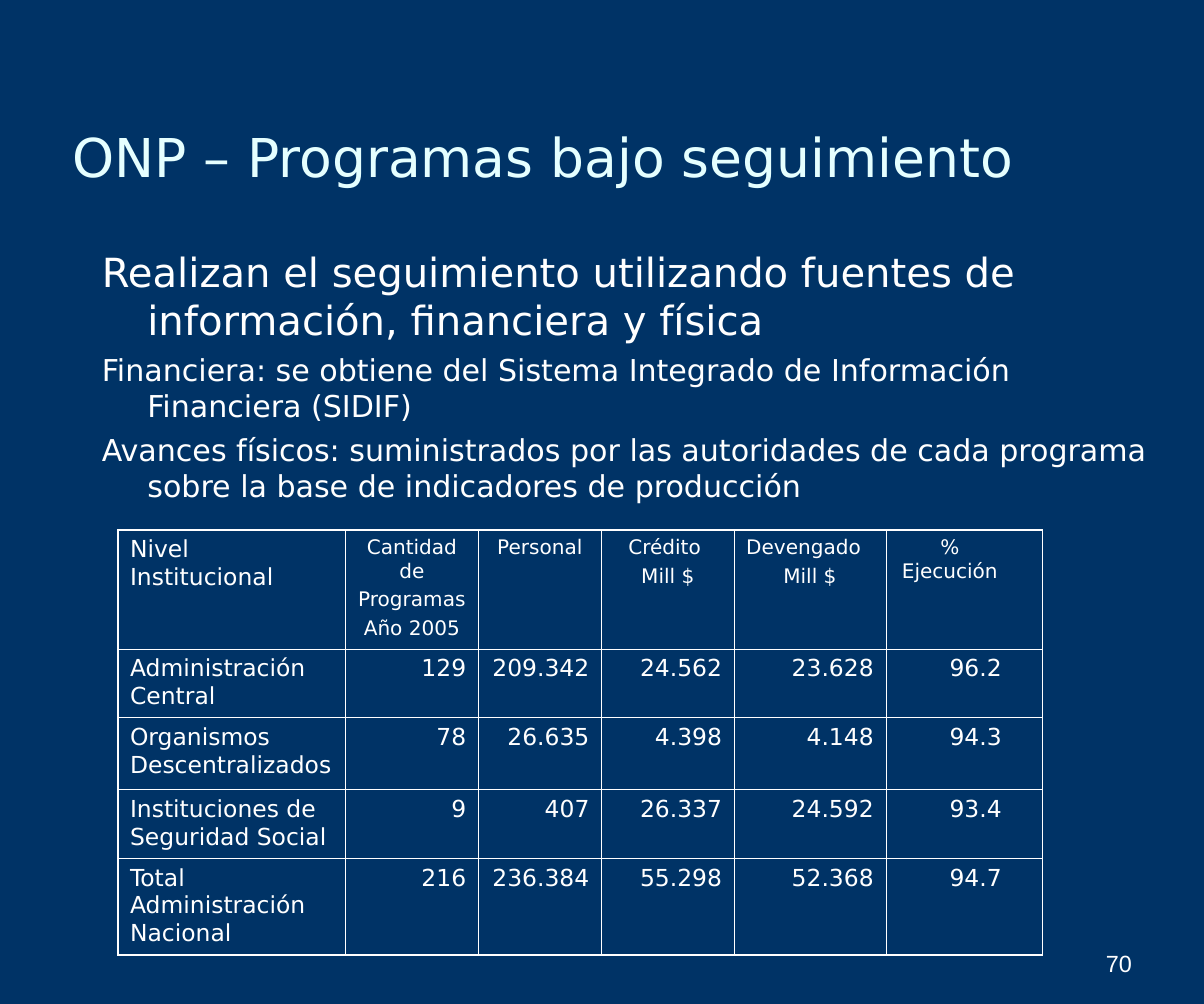
from lxml import etree
from pptx import Presentation
from pptx import util as u
from pptx.dml.color import RGBColor
from pptx.enum import text
from pptx.oxml.ns import qn

NAVY = RGBColor(0x00, 0x33, 0x66)
ICE = RGBColor(0xE5, 0xFF, 0xFF)
WHITE = RGBColor(0xFF, 0xFF, 0xFF)
LEFT, CENTER, RIGHT = text.PP_ALIGN.LEFT, text.PP_ALIGN.CENTER, text.PP_ALIGN.RIGHT
TOP, MIDDLE, BOTTOM = text.MSO_ANCHOR.TOP, text.MSO_ANCHOR.MIDDLE, text.MSO_ANCHOR.BOTTOM

HEADERS = [
    "Nivel Institucional",
    "Cantidad de\nProgramas\nAño 2005",
    "Personal",
    "Crédito \nMill $",
    "Devengado\nMill $",
    "% Ejecución",
    "",
]
LEVELS = [
    ["Administración Central", "129", "209.342", "24.562", "23.628", "96.2", ""],
    ["Organismos Descentralizados", "78", "26.635", "4.398", "4.148", "94.3", ""],
    ["Instituciones de Seguridad Social", "9", "407", "26.337", "24.592", "93.4", ""],
    ["Total Administración Nacional", "216", "236.384", "55.298", "52.368", "94.7", ""],
]
COLUMN_WIDTHS = [4.8, 2.8, 2.6, 2.8, 3.2, 2.7, 0.6]
ROW_HEIGHTS = [2.51, 1.45, 1.52, 1.45, 2.03]


class ProgramSlide:
    font = "DejaVu Sans"
    inner, outer = 0.45, 1.08

    def __init__(self, deck):
        self.slide = deck.slides.add_slide(deck.slide_layouts[6])
        background = self.slide.background.fill
        background.solid()
        background.fore_color.rgb = NAVY

    def style(self, paragraph, size, color=WHITE, font=None, align=LEFT, before=0):
        paragraph.alignment = align
        paragraph.space_before = u.Pt(before)
        for run in paragraph.runs:
            run.font.size = u.Pt(size)
            run.font.name = font or self.font
            run.font.color.rgb = color

    def text_box(self, place, lines, sizes, anchor=TOP, hanging=0, **look):
        frame = self.slide.shapes.add_textbox(*map(u.Cm, place)).text_frame
        frame.word_wrap = True
        frame.vertical_anchor = anchor
        frame.text = "\n".join(lines)
        for index, (paragraph, size) in enumerate(zip(frame.paragraphs, sizes)):
            if hanging:
                properties = paragraph._p.get_or_add_pPr()
                properties.set("marL", str(u.Cm(hanging)))
                properties.set("indent", str(-u.Cm(hanging)))
            self.style(paragraph, size, before=size / 4 if index else 0, **look)

    def border(self, cell, side, width):
        line = etree.SubElement(cell._tc.get_or_add_tcPr(), qn(f"a:ln{side}"))
        line.set("w", str(u.Pt(width)))
        if width:
            fill = etree.SubElement(line, qn("a:solidFill"))
            etree.SubElement(fill, qn("a:srgbClr")).set("val", str(WHITE))
        else:
            etree.SubElement(line, qn("a:noFill"))

    def frame_cell(self, cell, row, column, last_row, last_column):
        widths = {
            "L": self.outer if column == 0 else self.inner,
            "R": self.outer if column == last_column else self.inner,
            "T": self.outer if row == 0 else self.inner,
            "B": self.outer if row == last_row else self.inner,
        }
        if column == last_column:
            widths["L"] = 0
        if column == last_column - 1:
            widths["R"] = 0
        for side, width in widths.items():
            self.border(cell, side, width)
        cell.fill.background()

    def table(self, left, top, rows, widths, heights):
        grid = self.slide.shapes.add_table(
            len(rows), len(widths), u.Cm(left), u.Cm(top),
            u.Cm(sum(widths)), u.Cm(sum(heights))).table
        grid.first_row = grid.horz_banding = False
        for column, width in zip(grid.columns, widths):
            column.width = u.Cm(width)
        for row, height in zip(grid.rows, heights):
            row.height = u.Cm(height)
        for r, values in enumerate(rows):
            for c, value in enumerate(values):
                cell = grid.cell(r, c)
                self.frame_cell(cell, r, c, len(rows) - 1, len(widths) - 1)
                cell.text_frame.text = value
                size = 12 if r == 0 and c else 14
                align = LEFT if c == 0 else CENTER if r == 0 else RIGHT
                for index, paragraph in enumerate(cell.text_frame.paragraphs):
                    flush = value.startswith("Devengado") and index == 0
                    self.style(paragraph, size, align=LEFT if flush else align,
                               before=3 if index else 0)


def main():
    deck = Presentation()
    deck.slide_width, deck.slide_height = u.Cm(25.4), u.Cm(21.18)
    page = ProgramSlide(deck)
    page.text_box((1.27, 1.17, 22.86, 4.24), ["ONP – Programas bajo seguimiento"],
                  [32], anchor=MIDDLE, color=ICE)
    page.text_box(
        (1.9, 5.1, 22.61, 6.7),
        ["Realizan el seguimiento utilizando fuentes de información, financiera y física",
         "Financiera: se obtiene del Sistema Integrado de Información Financiera (SIDIF)",
         "Avances físicos: suministrados por las autoridades de cada programa "
         "sobre la base de indicadores de producción"],
        [24, 18, 18], hanging=0.96)
    page.table(2.49, 11.18, [HEADERS] + LEVELS, COLUMN_WIDTHS, ROW_HEIGHTS)
    page.text_box((18.21, 19.28, 5.92, 1.47), ["70"], [14],
                  anchor=BOTTOM, font="Arial", align=RIGHT)
    deck.save("out.pptx")


if __name__ == "__main__":
    main()
